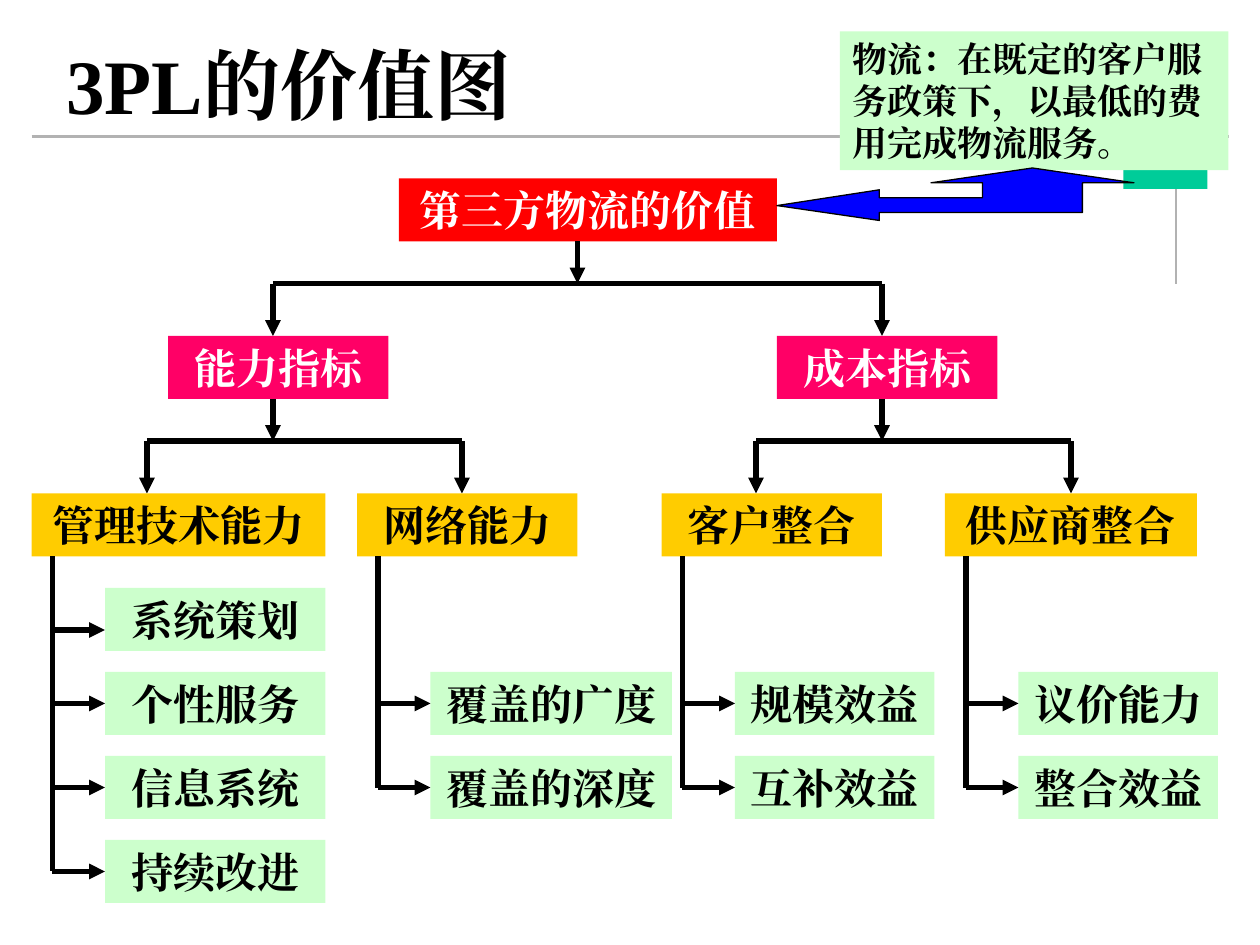
from lxml.etree import SubElement
from pptx import Presentation
from pptx.dml.color import RGBColor
from pptx.enum.shapes import MSO_CONNECTOR as Connector, MSO_SHAPE as Shape
from pptx.enum.text import MSO_ANCHOR as Anchor, MSO_AUTO_SIZE as AutoSize, PP_ALIGN as Align
from pptx.oxml.ns import qn
from pptx.util import Pt

FONT = "Times New Roman"
BLACK, WHITE, GREY = "000000", "FFFFFF", "B2B2B2"
RED, PINK, AMBER, MINT = "FF0000", "FF0066", "FFCC00", "CCFFCC"
BOX_HEIGHT = 36
ROOT_TOP, INDICATOR_TOP, CATEGORY_TOP, LEAF_TOP = 102, 192, 282, 336
LEAF_PITCH = 48
LEAF_ROWS = 4

INDICATORS = [
    ("能力指标", 96, 156, [84, 264]),
    ("成本指标", 444, 504, [432, 612]),
]
CATEGORIES = [
    ("管理技术能力", 18, 168, 126, ["系统策划", "个性服务", "信息系统", "持续改进"]),
    ("网络能力", 204, 126, 138, ["覆盖的广度", "覆盖的深度"]),
    ("客户整合", 378, 126, 114, ["规模效益", "互补效益"]),
    ("供应商整合", 540, 144, 114, ["议价能力", "整合效益"]),
]


def color(value):
    return RGBColor.from_string(value)


def write(frame, text, size, ink, align):
    frame.text = text
    frame.word_wrap = True
    frame.auto_size = AutoSize.NONE
    frame.vertical_anchor = Anchor.TOP
    para = frame.paragraphs[0]
    para.alignment = align
    for span in para.runs:
        span.font.name = FONT
        span.font.size = Pt(size)
        span.font.bold = True
        span.font.color.rgb = color(ink)
        SubElement(span.font._element, qn("a:ea"), typeface=FONT)


def add_box(page, left, top, width, height, fill):
    box = page.shapes.add_shape(Shape.RECTANGLE, Pt(left), Pt(top), Pt(width), Pt(height))
    box.shadow.inherit = False
    box.fill.solid()
    box.fill.fore_color.rgb = color(fill)
    box.line.fill.background()
    return box


def add_label(page, left, top, width, fill, text, ink=BLACK):
    box = add_box(page, left, top, width, BOX_HEIGHT, fill)
    write(box.text_frame, text, 24, ink, Align.CENTER)


def add_line(page, x1, y1, x2, y2, ink=BLACK, weight=3, arrow=False):
    line = page.shapes.add_connector(Connector.STRAIGHT, Pt(x1), Pt(y1), Pt(x2), Pt(y2))
    line.line.color.rgb = color(ink)
    line.line.width = Pt(weight)
    if arrow:
        SubElement(line.line._get_or_add_ln(), qn("a:tailEnd"), type="triangle")
    SubElement(line._element.spPr, qn("a:effectLst"))


def add_fork(page, stem, top, branches, bottom):
    bar = top + 24
    add_line(page, branches[0], bar, branches[-1], bar)
    add_line(page, stem, top, stem, bar, arrow=True)
    for branch in branches:
        add_line(page, branch, bar, branch, bottom, arrow=True)


def add_category(page, left, width, leaf_width, name, leaves):
    add_label(page, left, CATEGORY_TOP, width, AMBER, name)
    trunk, leaf_left = left + 12, left + 42
    first_row = 0 if len(leaves) == LEAF_ROWS else 1
    for row, leaf in enumerate(leaves, first_row):
        top = LEAF_TOP + row * LEAF_PITCH
        entry = top + (24 if row == 0 else 18)
        add_label(page, leaf_left, top, leaf_width, MINT, leaf)
        add_line(page, trunk, entry, leaf_left, entry, arrow=True)
    add_line(page, trunk, CATEGORY_TOP + BOX_HEIGHT, trunk, entry)


def add_header(page, left, top, width, height):
    title = page.shapes.title
    title.left, title.top, title.width, title.height = Pt(left), Pt(top), Pt(width), Pt(height)
    write(title.text_frame, "3PL的价值图", 44, BLACK, Align.CENTER)
    add_line(page, 18, 78, 702, 78, GREY, 2.25)
    add_line(page, 672, 30, 672, 162, GREY, 0.75)
    add_box(page, 642, 84, 48, 24, "00CC99")


def add_tree(page):
    add_label(page, 228, ROOT_TOP, 216, RED, "第三方物流的价值", WHITE)
    add_fork(page, 330, ROOT_TOP + BOX_HEIGHT, [stem for _, _, stem, _ in INDICATORS], INDICATOR_TOP)
    for name, left, stem, branches in INDICATORS:
        add_label(page, left, INDICATOR_TOP, 126, PINK, name, WHITE)
        add_fork(page, stem, INDICATOR_TOP + BOX_HEIGHT, branches, CATEGORY_TOP)
    for name, left, width, leaf_width, leaves in CATEGORIES:
        add_category(page, left, width, leaf_width, name, leaves)


def add_definition(page, left, top, width, height):
    note = add_box(page, left, top, width, height, MINT)
    write(note.text_frame, "物流：在既定的客户服务政策下，以最低的费用完成物流服务。", 20, BLACK, Align.LEFT)


def add_bent_arrow(page, left, top):
    outline = [
        (0, 21.5), (58.5, 12.5), (58.5, 17), (117.5, 17), (117.5, 8.5), (88, 8.5),
        (146, 0), (204, 8.5), (174.5, 8.5), (174.5, 25.5), (58.5, 25.5), (58.5, 30),
    ]
    points = [(Pt(left + x), Pt(top + y)) for x, y in outline]
    builder = page.shapes.build_freeform(*points[0])
    builder.add_line_segments(points[1:], close=True)
    arrow = builder.convert_to_shape()
    arrow.shadow.inherit = False
    arrow.fill.solid()
    arrow.fill.fore_color.rgb = color("0000FF")
    arrow.line.color.rgb = color(BLACK)
    arrow.line.width = Pt(0.75)


def main():
    deck = Presentation()
    deck.slide_width, deck.slide_height = Pt(720), Pt(540)
    page = deck.slides.add_slide(deck.slide_layouts[5])
    add_header(page, 24, 18, 282, 54)
    add_tree(page)
    add_definition(page, 480, 18, 222, 79.2)
    add_bent_arrow(page, 444, 96)
    deck.save("out.pptx")


if __name__ == "__main__":
    main()
